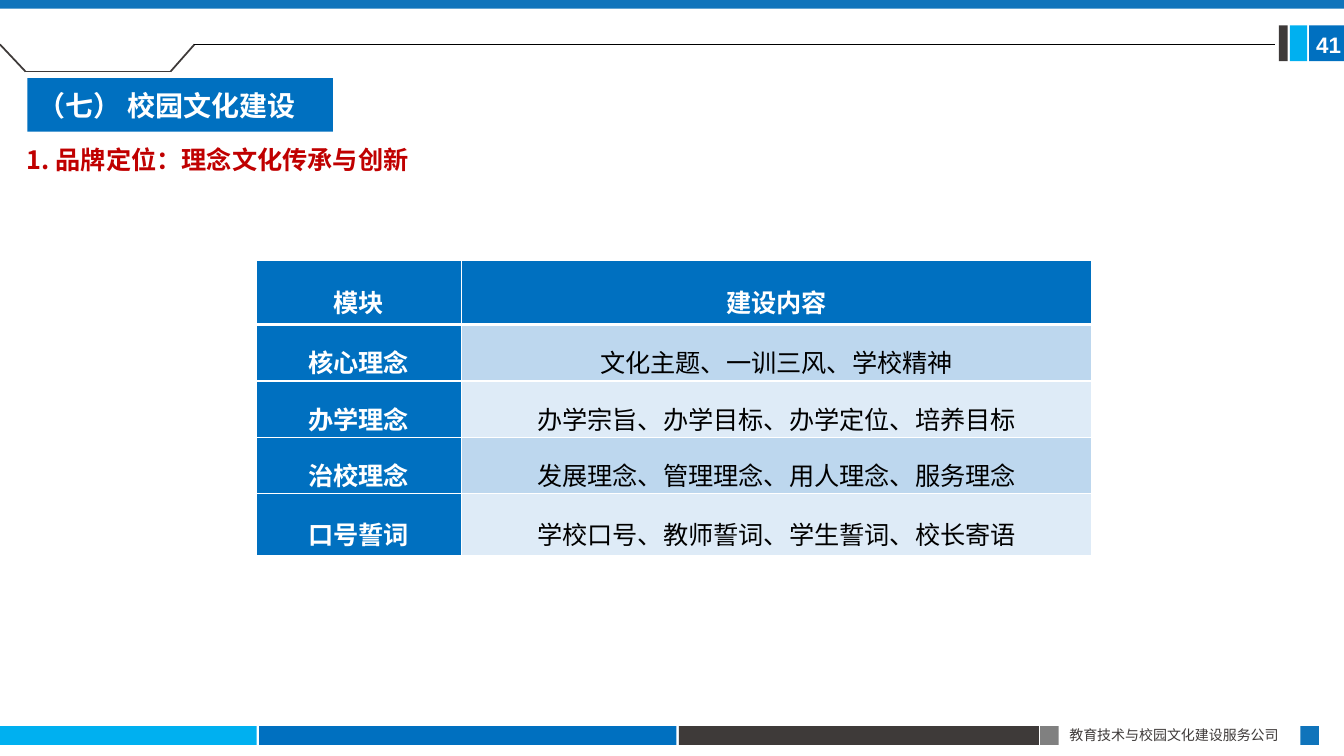
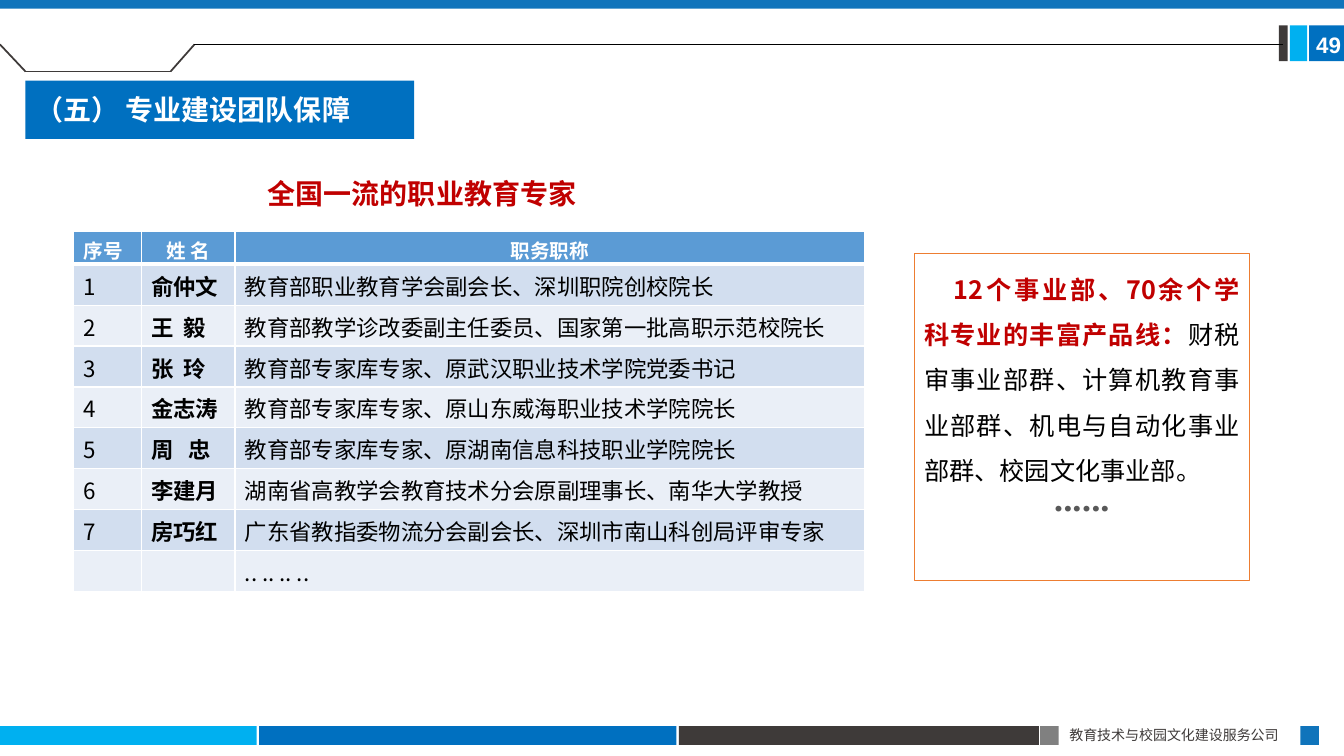
"""Build two school-development slides that share one frame of bands and rules."""
import pptx
import pptx.chart.data
import pptx.dml.color
import pptx.enum.shapes
import pptx.enum.text
import pptx.oxml
import pptx.oxml.ns
import pptx.util

Cm = pptx.util.Cm
Pt = pptx.util.Pt
ALIGN = pptx.enum.text.PP_ALIGN
ANCHOR = pptx.enum.text.MSO_ANCHOR
RGB = pptx.dml.color.RGBColor.from_string
SANS = "Noto Sans CJK SC"

THEME = {
    "colors": {
        "white": "FFFFFF", "black": "000000", "blue": "0070C0", "sky": "00B0F0",
        "strip": "1074BB", "dark": "3E3A39", "gray": "808080", "red": "C00000",
        "orange": "ED7D31", "header": "5B9BD5", "dots": "595959",
        "band_deep": "BDD7EE", "band_pale": "DEEBF7",
        "row_deep": "D2DEEF", "row_pale": "EAEFF7",
    },
    "styles": {
        "title": {"name": SANS, "size": Pt(20), "bold": True, "color": "white"},
        "title_plain": {"name": "Calibri", "size": Pt(20), "bold": True, "color": "white"},
        "subtitle": {"name": SANS, "size": Pt(18), "bold": True, "color": "red"},
        "heading": {"name": SANS, "size": Pt(20), "bold": True, "color": "red"},
        "footer": {"name": SANS, "size": Pt(10), "color": "dark"},
        "number": {"name": "Arial", "size": Pt(16), "bold": True, "color": "white"},
        "body": {"name": SANS, "size": Pt(18), "bold": False, "color": "black"},
        "module": {"name": SANS, "size": Pt(18), "bold": True, "color": "white"},
        "column": {"name": SANS, "size": Pt(14), "bold": True, "color": "white"},
        "entry": {"name": SANS, "size": Pt(16), "bold": False, "color": "black"},
        "person": {"name": SANS, "size": Pt(16), "bold": True, "color": "black"},
        "ellipsis": {"name": "Karla", "size": Pt(36), "bold": False, "color": "dots"},
    },
}


def write(paragraph, runs, **layout):
    """Add styled runs to a paragraph and apply its layout values."""
    for attribute, value in layout.items():
        setattr(paragraph, attribute, value)
    for text, style in runs:
        run = paragraph.add_run()
        run.text = text
        for attribute, value in THEME["styles"][style].items():
            if attribute == "color":
                run.font.color.rgb = RGB(THEME["colors"][value])
            else:
                setattr(run.font, attribute, value)
        east_asian = pptx.oxml.parse_xml(
            f'<a:ea {pptx.oxml.ns.nsdecls("a")} typeface="{run.font.name}"/>')
        run.font.fill
        run.font._element.append(east_asian)


def add_block(slide, box, fill=None, line=None, **frame_format):
    """Add a rectangle, or a text box when it has neither fill nor line."""
    place = [Cm(length) for length in box]
    if fill or line:
        shape = slide.shapes.add_shape(pptx.enum.shapes.MSO_SHAPE.RECTANGLE, *place)
        shape.shadow.inherit = False
        for target, color in ((shape.fill, fill), (shape.line.fill, line)):
            if color:
                target.solid()
                target.fore_color.rgb = RGB(THEME["colors"][color])
            else:
                target.background()
    else:
        shape = slide.shapes.add_textbox(*place)
    for attribute, value in {"word_wrap": True, **frame_format}.items():
        setattr(shape.text_frame, attribute, value)
    return shape


BANDS = [
    ((0, 18.3, 6.47, 0.47), "sky"),
    ((6.53, 18.3, 10.52, 0.47), "blue"),
    ((17.11, 18.3, 9.07, 0.47), "dark"),
    ((26.21, 18.3, 0.47, 0.47), "gray"),
    ((32.77, 18.3, 0.47, 0.47), "strip"),
    ((32.99, 0.64, 0.88, 0.9), "blue"),
    ((32.51, 0.64, 0.43, 0.9), "sky"),
    ((32.23, 0.64, 0.22, 0.9), "dark"),
    ((0, 0, 33.87, 0.22), "strip"),
]
NOTCH = [(0, 1.12), (0.64, 1.8), (4.3, 1.8), (4.9, 1.12)]

PAGES = [
    {
        "number": "41", "rule_end": 32.13,
        "title": ("（七） 校园文化建设", "title", (0.69, 1.97, 7.7, 1.35)),
        "heading": ("1. 品牌定位：理念文化传承与创新", "subtitle",
                    (0.43, 3.51, 10.2, 1.02), {"line_spacing": Pt(21.4)}),
        "table": {
            "at": (6.45, 6.55),
            "columns": [5.18, 15.88],
            "heights": [1.63, 1.42, 1.42, 1.42, 1.55],
            "header": ("module", "blue"),
            "styles": ["module", "body"],
            "fills": [("blue", "band_deep"), ("blue", "band_pale")],
            "aligns": [ALIGN.CENTER, ALIGN.CENTER],
            "header_aligns": [ALIGN.CENTER, ALIGN.CENTER],
            "spacing": 1.5,
            "cell": {"vertical_anchor": ANCHOR.MIDDLE, "margin_left": Cm(0.18),
                     "margin_right": Cm(0.18), "margin_top": 0, "margin_bottom": 0},
            "rows": [
                ("模块", "建设内容"),
                ("核心理念", "文化主题、一训三风、学校精神"),
                ("办学理念", "办学宗旨、办学目标、办学定位、培养目标"),
                ("治校理念", "发展理念、管理理念、用人理念、服务理念"),
                ("口号誓词", "学校口号、教师誓词、学生誓词、校长寄语"),
            ],
        },
    },
    {
        "number": "49", "rule_end": 32.33,
        "title": ("（五） 专业建设团队保障", "title_plain", (0.64, 2.03, 9.8, 1.47)),
        "heading": ("全国一流的职业教育专家", "heading", (6.5, 4.32, 9.83, 1.12), {}),
        "table": {
            "at": (1.86, 5.82),
            "columns": [1.7, 2.36, 15.87],
            "heights": [0.84] + [1.03] * 8,
            "header": ("column", "header"),
            "styles": ["entry", "person", "entry"],
            "fills": [("row_deep",) * 3, ("row_pale",) * 3],
            "aligns": [ALIGN.LEFT] * 3,
            "header_aligns": [ALIGN.LEFT, ALIGN.CENTER, ALIGN.CENTER],
            "spacing": 1.0,
            "cell": {"vertical_anchor": ANCHOR.TOP, "margin_left": Cm(0.25),
                     "margin_right": Cm(0.25), "margin_top": Cm(0.13), "margin_bottom": 0},
            "rows": [
                ("序号", "姓 名", "职务职称"),
                ("1", "俞仲文", "教育部职业教育学会副会长、深圳职院创校院长"),
                ("2", "王  毅", "教育部教学诊改委副主任委员、国家第一批高职示范校院长"),
                ("3", "张  玲", "教育部专家库专家、原武汉职业技术学院党委书记"),
                ("4", "金志涛", "教育部专家库专家、原山东威海职业技术学院院长"),
                ("5", "周   忠", "教育部专家库专家、原湖南信息科技职业学院院长"),
                ("6", "李建月", "湖南省高教学会教育技术分会原副理事长、南华大学教授"),
                ("7", "房巧红", "广东省教指委物流分会副会长、深圳市南山科创局评审专家"),
                ("", "", ".. .. .. .."),
            ],
        },
    },
]

presentation = pptx.Presentation()
presentation.slide_width = Cm(33.87)
presentation.slide_height = Cm(19.05)

for page in PAGES:
    slide = presentation.slides.add_slide(presentation.slide_layouts[6])
    for box, color in BANDS:
        add_block(slide, box, color)
    footer = add_block(slide, (26.7, 18.19, 6.1, 0.69))
    write(footer.text_frame.paragraphs[0], [("教育技术与校园文化建设服务公司", "footer")],
          alignment=ALIGN.JUSTIFY)
    number = add_block(slide, (32.92, 0.66, 0.95, 0.94), margin_right=0)
    write(number.text_frame.paragraphs[0], [(page["number"], "number")])

    segments = [(start, end, "dark", 1.25) for start, end in zip(NOTCH, NOTCH[1:])]
    segments.append((NOTCH[-1], (page["rule_end"], NOTCH[-1][1]), "black", 0.5))
    for start, end, color, width in segments:
        connector = slide.shapes.add_connector(
            pptx.enum.shapes.MSO_CONNECTOR.STRAIGHT, *[Cm(length) for length in start + end])
        connector.line.color.rgb = RGB(THEME["colors"][color])
        connector.line.width = Pt(width)
        connector._element.spPr.append(
            pptx.oxml.parse_xml(f'<a:effectLst {pptx.oxml.ns.nsdecls("a")}/>'))

    text, style, box = page["title"]
    title = add_block(slide, box, "blue", vertical_anchor=ANCHOR.MIDDLE)
    write(title.text_frame.paragraphs[0], [(text, style)], alignment=ALIGN.LEFT)
    text, style, box, layout = page["heading"]
    heading = add_block(slide, box)
    write(heading.text_frame.paragraphs[0], [(text, style)], **layout)

    grid = page["table"]
    size = (sum(grid["columns"]), sum(grid["heights"]))
    table = slide.shapes.add_table(len(grid["rows"]), len(grid["columns"]),
                                   *[Cm(length) for length in grid["at"] + size]).table
    table.horz_banding = False
    for column, width in zip(table.columns, grid["columns"]):
        column.width = Cm(width)
    for row_index, texts in enumerate(grid["rows"]):
        table.rows[row_index].height = Cm(grid["heights"][row_index])
        is_header = row_index == 0
        for column_index, text in enumerate(texts):
            cell = table.cell(row_index, column_index)
            for attribute, value in grid["cell"].items():
                setattr(cell, attribute, value)
            if is_header:
                style, fill = grid["header"]
                alignment = grid["header_aligns"][column_index]
            else:
                style = grid["styles"][column_index]
                fill = grid["fills"][(row_index - 1) % 2][column_index]
                alignment = grid["aligns"][column_index]
            cell.fill.solid()
            cell.fill.fore_color.rgb = RGB(THEME["colors"][fill])
            thick_side = {0: "B", 1: "T"}.get(row_index)
            for position, side in enumerate("LRTB"):
                width = Pt(3 if side == thick_side else 1)
                border = pptx.oxml.parse_xml(
                    f'<a:ln{side} {pptx.oxml.ns.nsdecls("a")} w="{width}"><a:solidFill>'
                    f'<a:srgbClr val="{THEME["colors"]["white"]}"/></a:solidFill></a:ln{side}>')
                cell._tc.get_or_add_tcPr().insert(position, border)
            write(cell.text_frame.paragraphs[0], [(text, style)] if text else [],
                  alignment=alignment, line_spacing=grid["spacing"])

panel = add_block(slide, (23.04, 6.4, 8.46, 8.23), line="orange", vertical_anchor=ANCHOR.TOP)
panel.line.width = Pt(0.75)
summary = panel.text_frame.paragraphs[0]
summary._p.get_or_add_pPr().set("indent", str(Cm(0.75)))
write(summary, [
    ("12个事业部、70余个学科专业的丰富产品线：", "subtitle"),
    ("财税审事业部群、计算机教育事业部群、机电与自动化事业部群、校园文化事业部。", "body"),
], alignment=ALIGN.JUSTIFY, line_spacing=Pt(32.4))
write(panel.text_frame.add_paragraph(), [("……", "ellipsis")],
      alignment=ALIGN.CENTER, line_spacing=Pt(25.6))

presentation.save("out.pptx")
